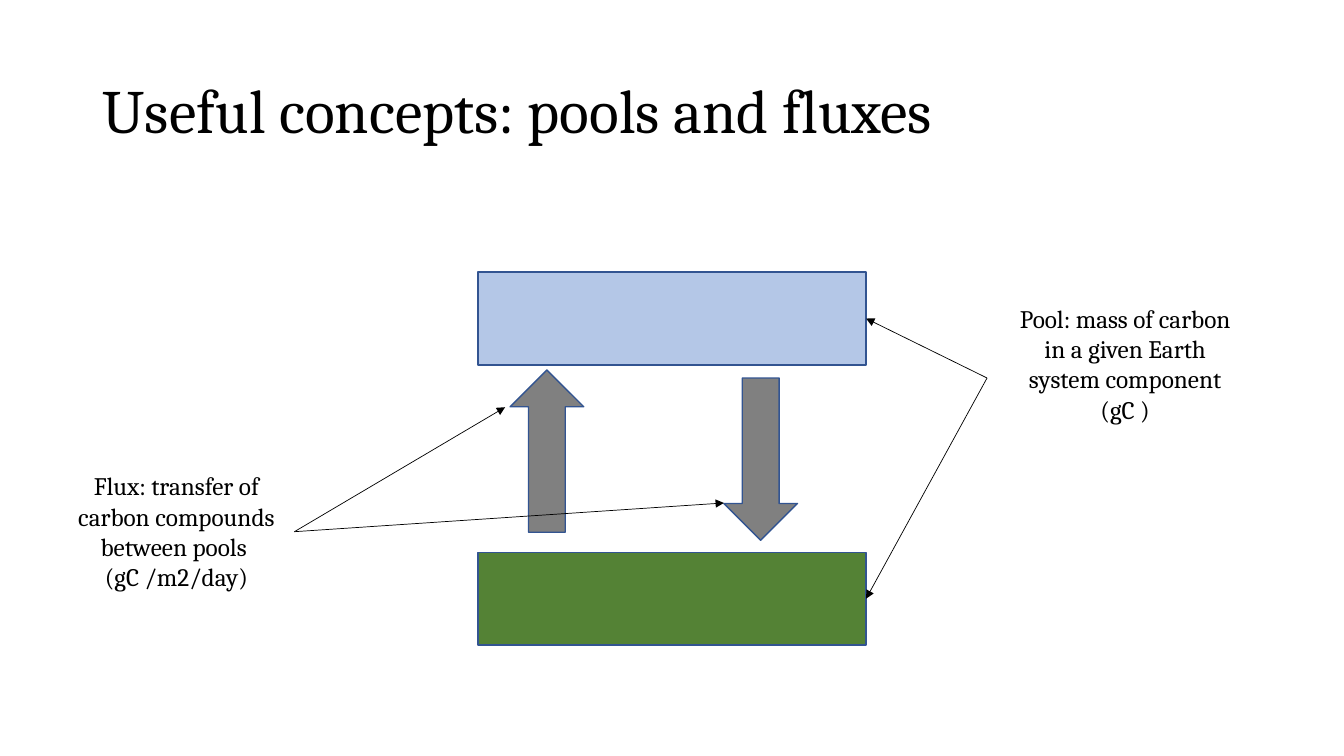
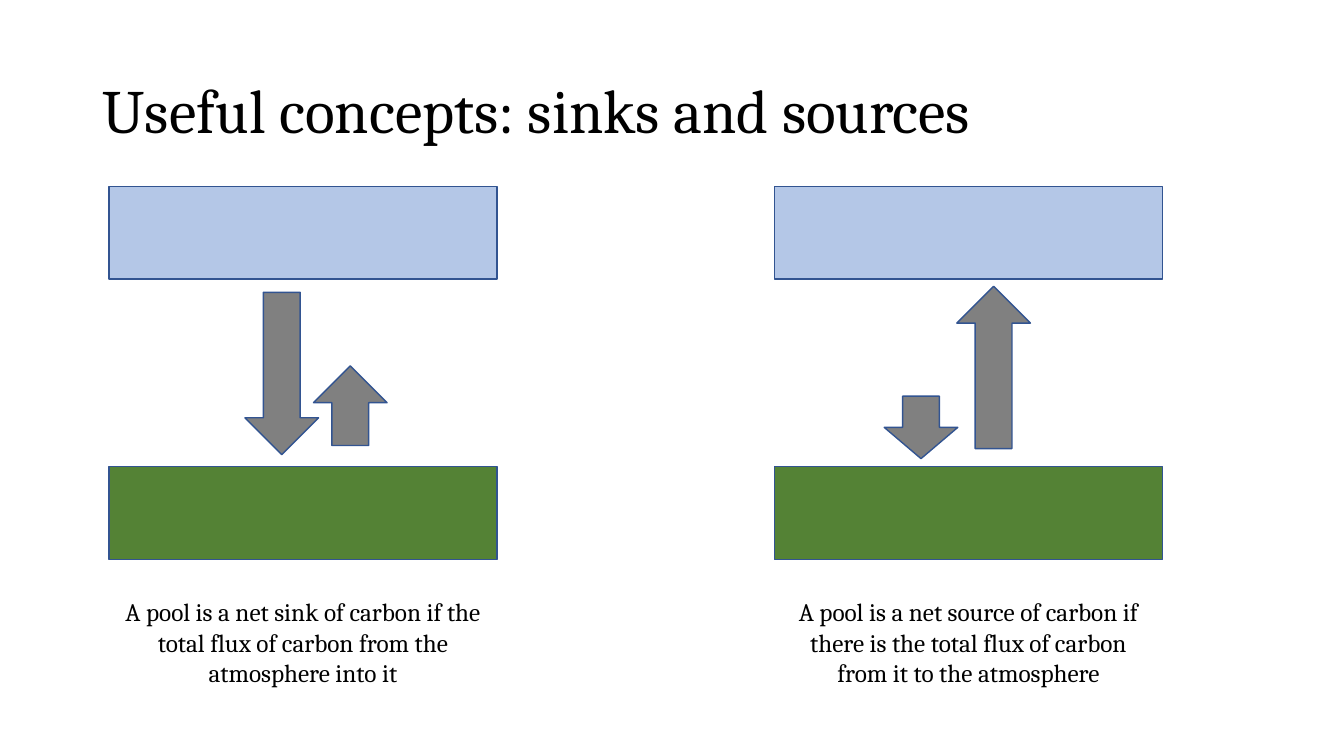
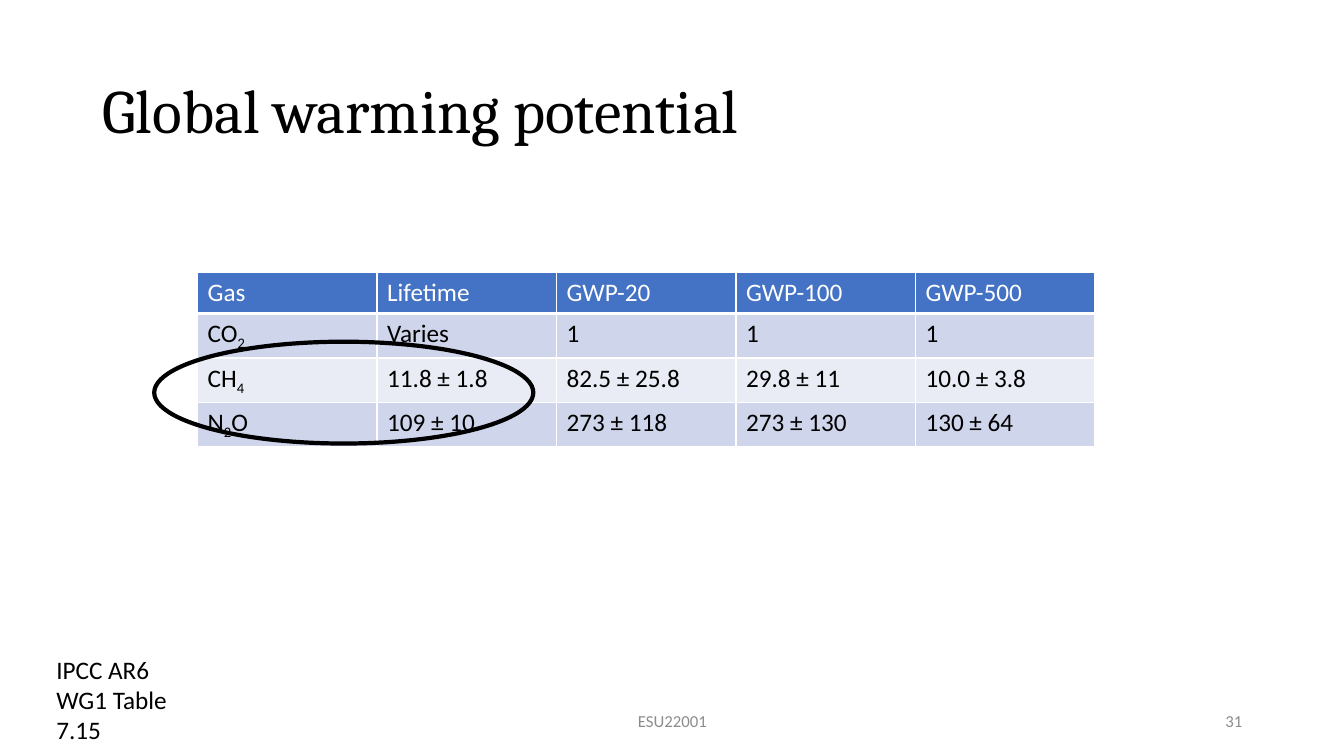
from lxml import etree
from pptx import Presentation
from pptx import util as u
from pptx.dml.color import RGBColor
from pptx.enum import shapes, text
from pptx.oxml import ns

BLACK = RGBColor(0x00, 0x00, 0x00)
WHITE = RGBColor(0xFF, 0xFF, 0xFF)
GRAY = RGBColor(0x80, 0x80, 0x80)
FOOTER_GRAY = RGBColor(0x8C, 0x8C, 0x8C)
OUTLINE_BLUE = RGBColor(0x32, 0x54, 0x91)
ATMOSPHERE_BLUE = RGBColor(0xB4, 0xC7, 0xE7)
LAND_GREEN = RGBColor(0x54, 0x82, 0x35)
HEADER_BLUE = RGBColor(0x44, 0x72, 0xC4)
BANDS = (RGBColor(0xCF, 0xD5, 0xEA), RGBColor(0xE9, 0xEB, 0xF5))

# Text styles
TITLE = {"name": "Cambria", "size": u.Pt(44), "color": BLACK}
LABEL = {"name": "Cambria", "size": u.Pt(18), "color": BLACK}
BODY = {"name": "Calibri", "size": u.Pt(18), "bold": False, "color": BLACK}
HEADER = {**BODY, "color": WHITE}
FOOTER = {"name": "Calibri", "size": u.Pt(12), "color": FOOTER_GRAY}

LEFT, CENTER, RIGHT = (text.PP_ALIGN.LEFT, text.PP_ALIGN.CENTER,
                       text.PP_ALIGN.RIGHT)
UP, DOWN = shapes.MSO_SHAPE.UP_ARROW, shapes.MSO_SHAPE.DOWN_ARROW

# Pool diagram sizes
POOL_WIDTH, POOL_HEIGHT, POOL_STEP = 3.85, 0.92, 2.78
FLUX_WIDTH, FLUX_HEIGHT = 0.73, 1.61
RIGHT_SIDE = 3

GASES = [
    ("Gas", "Lifetime", "GWP-20", "GWP-100", "GWP-500"),
    ("CO_2", "Varies", "1", "1", "1"),
    ("CH_4", "11.8 ± 1.8", "82.5 ± 25.8", "29.8 ± 11", "10.0 ± 3.8"),
    ("N_2_O", "109 ± 10", "273 ± 118", "273 ± 130", "130 ± 64"),
]


def inches(*lengths):
    return [u.Inches(length) for length in lengths]


def set_font(font, style):
    for name, value in style.items():
        if name == "color":
            font.color.rgb = value
        else:
            setattr(font, name, value)


def add_text(slide, box, lines, style, align=LEFT, middle=False, spacing=None):
    shape = slide.shapes.add_textbox(*inches(*box))
    frame = shape.text_frame
    frame.word_wrap = True
    if middle:
        frame.vertical_anchor = text.MSO_ANCHOR.MIDDLE
    else:
        frame.auto_size = text.MSO_AUTO_SIZE.SHAPE_TO_FIT_TEXT
    frame.text = "\n".join(lines)
    for paragraph in frame.paragraphs:
        paragraph.alignment = align
        paragraph.line_spacing = spacing
        for run in paragraph.runs:
            set_font(run.font, style)
    return shape


def add_titled_slide(presentation, title):
    slide = presentation.slides.add_slide(presentation.slide_layouts[6])
    add_text(slide, (0.92, 0.4, 11.5, 1.45), [title], TITLE,
             middle=True, spacing=0.9)
    return slide


def add_figure(slide, kind, box, fill, line=OUTLINE_BLUE, width=1):
    shape = slide.shapes.add_shape(kind, *inches(*box))
    shape.shadow.inherit = False
    if fill is None:
        shape.fill.background()
    else:
        shape.fill.solid()
        shape.fill.fore_color.rgb = fill
    shape.line.color.rgb = line
    shape.line.width = u.Pt(width)
    return shape


def add_pools(slide, left, top):
    """Atmosphere above land."""
    return [add_figure(slide, shapes.MSO_SHAPE.RECTANGLE,
                       (left, top + i * POOL_STEP, POOL_WIDTH, POOL_HEIGHT), fill)
            for i, fill in enumerate((ATMOSPHERE_BLUE, LAND_GREEN))]


def add_flux(slide, kind, left, top, height=FLUX_HEIGHT):
    add_figure(slide, kind, (left, top, FLUX_WIDTH, height), GRAY)


def add_pointer(slide, start, end):
    connector = slide.shapes.add_connector(
        shapes.MSO_CONNECTOR.STRAIGHT, *inches(*start, *end))
    connector.line.color.rgb = BLACK
    connector.line.width = u.Pt(0.5)
    line = connector.line._get_or_add_ln()
    etree.SubElement(line, ns.qn("a:tailEnd"), type="triangle")
    etree.SubElement(connector._element.spPr, ns.qn("a:effectLst"))
    return connector


def set_borders(cell, bottom):
    properties = cell._tc.get_or_add_tcPr()
    sides = {"lnL": 1, "lnR": 1, "lnT": 1, "lnB": bottom}
    for position, (side, width) in enumerate(sides.items()):
        line = etree.Element(ns.qn(f"a:{side}"), w=str(u.Pt(width)))
        fill = etree.SubElement(line, ns.qn("a:solidFill"))
        etree.SubElement(fill, ns.qn("a:srgbClr"), val=str(WHITE))
        properties.insert(position, line)


def fill_cell(cell, content, style, fill, bottom):
    """Underscores switch subscript on and off."""
    paragraph = cell.text_frame.paragraphs[0]
    for i, part in enumerate(content.split("_")):
        run = paragraph.add_run()
        run.text = part
        set_font(run.font, style)
        if i % 2:
            run._r.get_or_add_rPr().set("baseline", "-25000")
    cell.fill.solid()
    cell.fill.fore_color.rgb = fill
    set_borders(cell, bottom)


def add_gas_table(slide, left, top, column_width, row_height):
    rows, columns = len(GASES), len(GASES[0])
    table = slide.shapes.add_table(
        rows, columns, *inches(left, top, columns * column_width,
                               rows * row_height)).table
    for column in table.columns:
        column.width = u.Inches(column_width)
    for i, values in enumerate(GASES):
        table.rows[i].height = u.Inches(row_height)
        style, fill, bottom = ((BODY, BANDS[(i - 1) % 2], 1) if i
                               else (HEADER, HEADER_BLUE, 3))
        for j, value in enumerate(values):
            fill_cell(table.cell(i, j), value, style, fill, bottom)


def build_pools_and_fluxes(presentation):
    slide = add_titled_slide(presentation, "Useful concepts: pools and fluxes")
    pools = add_pools(slide, 4.74, 2.7)
    add_flux(slide, UP, 5.06, 3.67)
    add_flux(slide, DOWN, 7.18, 3.75)
    flux_label = add_text(
        slide, (0.58, 4.62, 2.34, 1.31),
        ["Flux: transfer of carbon compounds between pools ", "(gC /m2/day)"],
        LABEL, CENTER)
    add_text(slide, (9.99, 2.96, 2.34, 1.62),
             ["Pool: mass of carbon in a given Earth system component", "(gC )"],
             LABEL, CENTER)

    # Pointers from the labels
    for pool, end in zip(pools, ((8.59, 3.16), (8.59, 5.94))):
        add_pointer(slide, (9.79, 3.75), end).end_connect(pool, RIGHT_SIDE)
    for end in ((5.01, 4.04), (7.18, 4.99)):
        add_pointer(slide, (2.92, 5.28), end).begin_connect(flux_label, RIGHT_SIDE)


def build_sinks_and_sources(presentation):
    slide = add_titled_slide(presentation, "Useful concepts: sinks and sources")
    cases = (
        (1.08, "A pool is a net sink of carbon if the total flux of carbon "
               "from the atmosphere into it"),
        (7.68, "A pool is a net source of carbon if there is the total flux "
               "of carbon from it to the atmosphere"),
    )
    for left, caption in cases:
        add_pools(slide, left, 1.85)
        add_text(slide, (left, 5.87, POOL_WIDTH, 1.01), [caption], LABEL, CENTER)

    # Sink: larger flux down; source: larger flux up
    add_flux(slide, DOWN, 2.43, 2.9)
    add_flux(slide, UP, 3.11, 3.63, 0.79)
    add_flux(slide, UP, 9.49, 2.84)
    add_flux(slide, DOWN, 8.77, 3.93, 0.62)


def build_warming_potential(presentation):
    slide = add_titled_slide(presentation, "Global warming potential")
    add_gas_table(slide, 1.96, 2.7, 1.78, 0.41)
    add_text(slide, (0.46, 6.44, 1.61, 1.01), ["IPCC AR6 WG1 Table 7.15"], BODY)
    add_text(slide, (4.42, 6.95, 4.5, 0.4), ["ESU22001"], FOOTER, CENTER, True)
    add_text(slide, (9.42, 6.95, 3, 0.4), ["31"], FOOTER, RIGHT, True)
    # Ring around the methane and nitrous oxide lifetimes
    add_figure(slide, shapes.MSO_SHAPE.OVAL, (1.53, 3.39, 3.76, 1.01),
               None, BLACK, 3)


def main():
    presentation = Presentation()
    presentation.slide_width, presentation.slide_height = inches(13.33, 7.5)
    build_pools_and_fluxes(presentation)
    build_sinks_and_sources(presentation)
    build_warming_potential(presentation)
    presentation.save("out.pptx")


if __name__ == "__main__":
    main()
